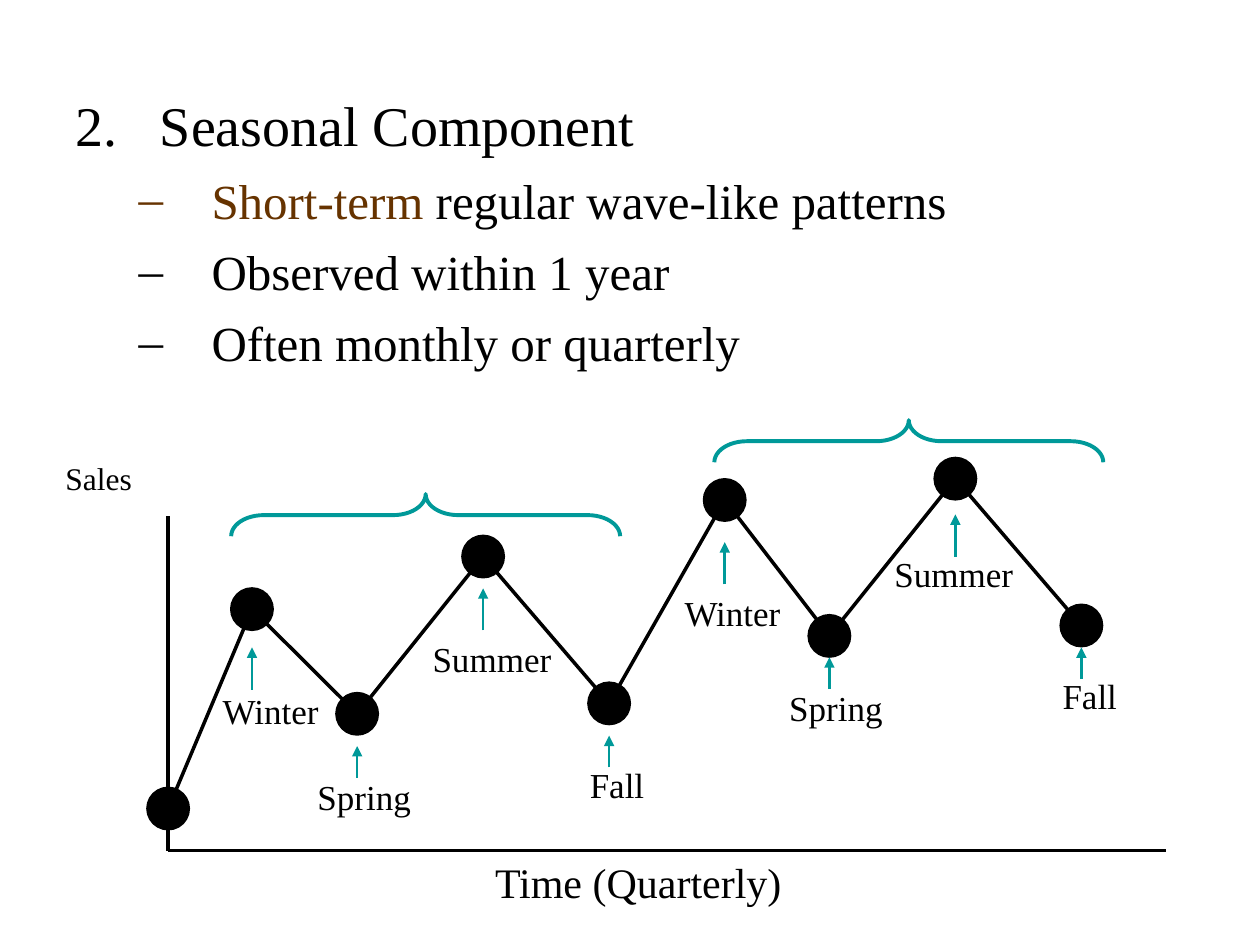
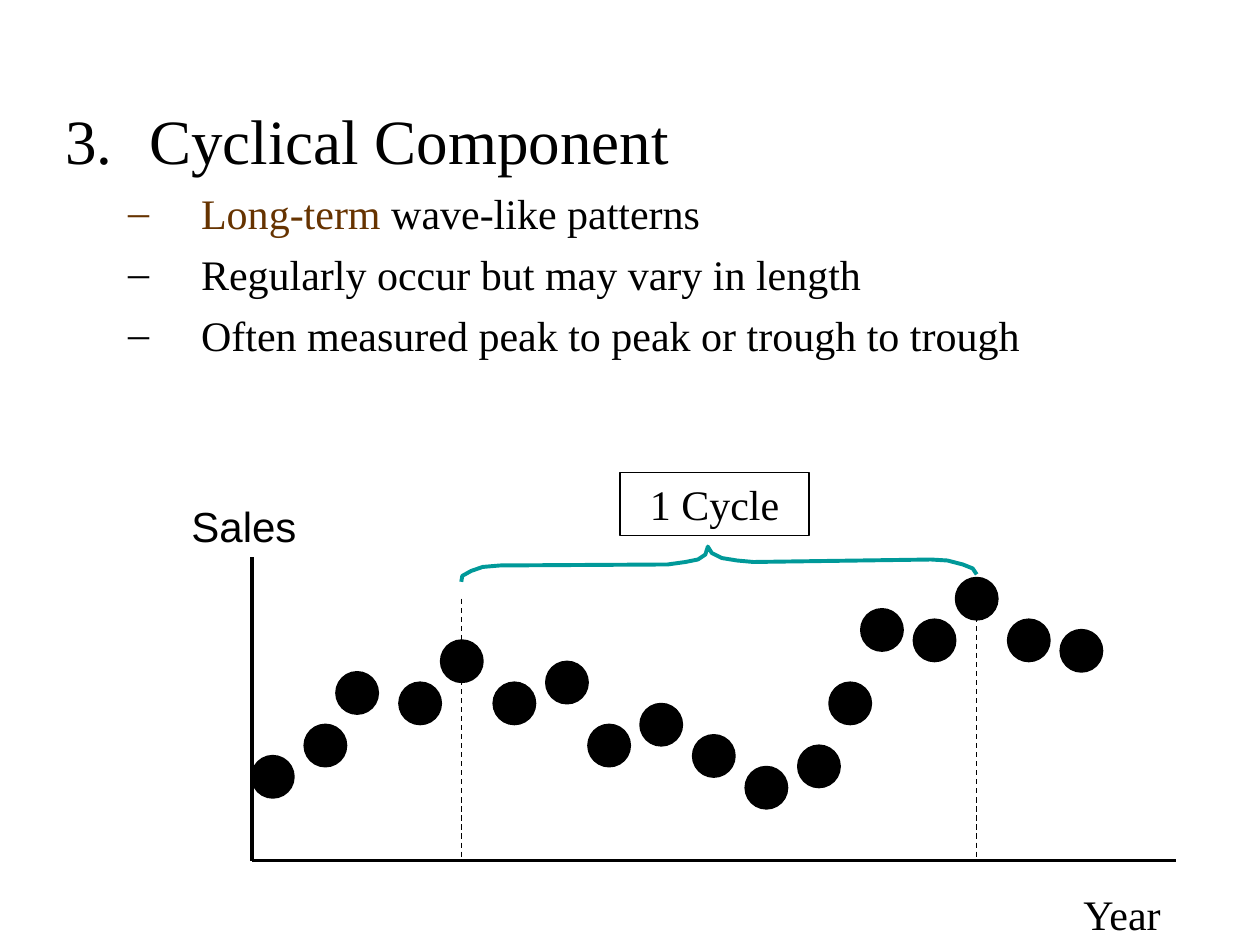
from dataclasses import dataclass

from lxml import etree
from pptx import Presentation
from pptx.dml.color import RGBColor
from pptx.enum.dml import MSO_LINE
from pptx.enum.shapes import MSO_CONNECTOR, MSO_SHAPE
from pptx.enum.text import MSO_ANCHOR, MSO_AUTO_SIZE, PP_ALIGN
from pptx.oxml.ns import qn
from pptx.util import Cm, Pt

STRAIGHT = MSO_CONNECTOR.STRAIGHT
OVAL = MSO_SHAPE.OVAL
LEFT_BRACE = MSO_SHAPE.LEFT_BRACE
DASH = MSO_LINE.DASH
TOP = MSO_ANCHOR.TOP
NO_FIT = MSO_AUTO_SIZE.NONE
GROW = MSO_AUTO_SIZE.SHAPE_TO_FIT_TEXT
LEFT = PP_ALIGN.LEFT
CENTER = PP_ALIGN.CENTER


@dataclass(frozen=True)
class Theme:
    ink: str = "000000"
    paper: str = "FFFFFF"
    accent: str = "009999"
    emphasis: str = "663300"
    serif: str = "Times New Roman"
    sans: str = "Arial"
    caption: int = 24
    season: int = 20
    axis_name: int = 18
    thick: float = 2
    brace: float = 2.25
    arrow: float = 1.5
    thin: float = 0.75
    outline: float = 1


THEME = Theme()
DOT = 0.85

SEASONAL = {
    "box": (1.27, 1.7, 22.86, 15.32),
    "number": 2,
    "heading": "Seasonal Component",
    "sizes": (32, 28),
    "spacing": (8, 7),
    "points": [
        ("Short-term", " regular wave-like patterns"),
        ("", "Observed within 1 year"),
        ("", "Often monthly or quarterly"),
    ],
}
SEASONAL_AXES = {"origin": (3.39, 17.15), "top": 10.41, "right": 23.5}
SALES_START = (3.39, 16.3)
LABEL_WIDTHS = {"Winter": 2.46, "Spring": 2.39, "Summer": 2.9, "Fall": 1.6}
ARROW_LENGTHS = {"Winter": 0.85, "Spring": 0.64, "Summer": 0.85, "Fall": 0.64}
QUARTERS = [
    # season, sales point, arrow tip, label corner
]
QUARTERS = [
    ("Winter", (5.08, 12.28), 13.05, (4.24, 13.77)),
    ("Spring", (7.2, 14.39), 15.04, (6.15, 15.5)),
    ("Summer", (9.74, 11.22), 11.86, (8.47, 12.73)),
    ("Fall", (12.28, 14.18), 14.83, (11.64, 15.27)),
    ("Winter", (14.61, 10.08), 10.93, (13.55, 11.79)),
    ("Spring", (16.72, 12.82), 13.25, (15.66, 13.71)),
    ("Summer", (19.26, 9.65), 10.37, (17.78, 11.02)),
    ("Fall", (21.8, 12.61), 13.05, (21.17, 13.48)),
]
YEAR_BRACES = [(4.66, 9.96), (14.4, 8.47)]
BRACE_SPAN, BRACE_DEPTH = 7.84, 0.85

CYCLICAL = {
    "box": (1.06, 1.91, 22.86, 16.51),
    "number": 3,
    "heading": "Cyclical Component",
    "sizes": (36, 24),
    "spacing": (9, 6),
    "points": [
        ("Long-term", " wave-like patterns"),
        ("", "Regularly occur but may vary in length"),
        ("", "Often measured peak to peak or trough to trough"),
    ],
}
CYCLICAL_AXES = {"origin": (5.08, 17.35), "top": 11.23, "right": 23.7}
YEARLY_SALES = [
    (5.5, 15.66), (6.56, 15.03), (7.2, 13.97), (8.47, 14.18), (9.31, 13.33),
    (10.37, 14.18), (11.43, 13.76), (12.28, 15.03), (13.33, 14.61),
    (14.39, 15.24), (15.45, 15.88), (16.51, 15.45), (17.14, 14.18),
    (17.78, 12.7), (18.84, 12.91), (19.69, 12.07), (20.74, 12.91),
    (21.8, 13.12),
]
PEAKS = (YEARLY_SALES[4], YEARLY_SALES[15])
PEAK_LINE_TOP = 12.07
CYCLE_BRACE = [
    (19.69, 11.58), (19.61, 11.46), (19.41, 11.38), (19.1, 11.3),
    (18.77, 11.28), (15.19, 11.33), (14.86, 11.3), (14.55, 11.25),
    (14.35, 11.15), (14.27, 11.02), (14.22, 11.18), (14.07, 11.28),
    (13.82, 11.33), (13.46, 11.38), (10.08, 11.4), (9.73, 11.43),
    (9.5, 11.51), (9.32, 11.61), (9.3, 11.73),
]


def rgb(color):
    return RGBColor.from_string(color)


def set_line(line, color, width):
    line.color.rgb = rgb(color)
    line.width = Pt(width)


def set_fill(shape, color):
    shape.fill.solid()
    shape.fill.fore_color.rgb = rgb(color)


def set_font(font, size, color=THEME.ink, face=THEME.serif):
    font.size = Pt(size)
    font.name = face
    font.color.rgb = rgb(color)


def add_line(slide, start, end, color=THEME.ink, width=THEME.thick):
    connector = slide.shapes.add_connector(
        STRAIGHT, *(Cm(value) for value in (*start, *end)))
    set_line(connector.line, color, width)
    etree.SubElement(connector._element.spPr, qn("a:effectLst"))
    return connector


def add_arrow(slide, start, end):
    arrow = add_line(slide, start, end, THEME.accent, THEME.arrow)
    etree.SubElement(arrow.line._get_or_add_ln(), qn("a:tailEnd"), type="triangle")


def add_axes(slide, origin, top, right):
    add_line(slide, (origin[0], top), origin)
    add_line(slide, origin, (right, origin[1]))


def add_dots(slide, centers):
    for x, y in centers:
        dot = slide.shapes.add_shape(
            OVAL, Cm(x - DOT / 2), Cm(y - DOT / 2), Cm(DOT), Cm(DOT))
        dot.shadow.inherit = False
        set_fill(dot, THEME.ink)
        set_line(dot.line, THEME.ink, THEME.outline)


def add_label(slide, text, box, size=THEME.caption, face=THEME.serif,
              wrap=True, align=LEFT):
    label = slide.shapes.add_textbox(*(Cm(value) for value in box))
    frame = label.text_frame
    frame.word_wrap = wrap
    frame.auto_size = GROW
    paragraph = frame.paragraphs[0]
    paragraph.text = text
    paragraph.alignment = align
    set_font(paragraph.font, size, face=face)
    return label


def add_year_brace(slide, left, top):
    shift = (BRACE_SPAN - BRACE_DEPTH) / 2
    brace = slide.shapes.add_shape(
        LEFT_BRACE, Cm(left + shift), Cm(top - shift), Cm(BRACE_DEPTH), Cm(BRACE_SPAN))
    brace.rotation = 90
    brace.adjustments[0] = 0.77
    brace.shadow.inherit = False
    brace.fill.background()
    set_line(brace.line, THEME.accent, THEME.brace)


def add_cycle_brace(slide):
    start, *rest = [(Cm(x), Cm(y)) for x, y in CYCLE_BRACE]
    builder = slide.shapes.build_freeform(*start)
    builder.add_line_segments(rest, close=False)
    brace = builder.convert_to_shape()
    brace.shadow.inherit = False
    set_fill(brace, THEME.paper)
    set_line(brace.line, THEME.accent, THEME.brace)


def set_bullet(paragraph, margin, hanging, color, mark, **settings):
    properties = paragraph._p.get_or_add_pPr()
    properties.set("marL", str(Cm(margin)))
    properties.set("indent", str(-Cm(hanging)))
    bullet_color = etree.SubElement(properties, qn("a:buClr"))
    etree.SubElement(bullet_color, qn("a:srgbClr"), val=color)
    etree.SubElement(properties, qn("a:buFont"), typeface=THEME.serif)
    etree.SubElement(properties, qn(mark), **settings)


def add_outline_slide(deck, outline):
    slide = deck.slides.add_slide(deck.slide_layouts[1])
    title = slide.shapes.title._element
    title.getparent().remove(title)
    body = slide.placeholders[1]
    body.left, body.top, body.width, body.height = (
        Cm(value) for value in outline["box"])
    frame = body.text_frame
    frame.auto_size = NO_FIT
    frame.vertical_anchor = TOP

    heading = frame.paragraphs[0]
    heading.text = outline["heading"]
    set_bullet(heading, 1.7, 1.7, THEME.ink, "a:buAutoNum",
               type="arabicPeriod", startAt=str(outline["number"]))
    paragraphs = [heading]
    for emphasis, rest in outline["points"]:
        point = frame.add_paragraph()
        point.level = 1
        set_bullet(point, 2.74, 1.47, THEME.emphasis if emphasis else THEME.ink,
                   "a:buChar", char="–")
        if emphasis:
            run = point.add_run()
            run.text = emphasis
            run.font.color.rgb = rgb(THEME.emphasis)
        point.add_run().text = rest
        paragraphs.append(point)
    for paragraph in paragraphs:
        paragraph.space_before = Pt(outline["spacing"][paragraph.level])
        set_font(paragraph.font, outline["sizes"][paragraph.level])
    return slide


def build_seasonal(deck):
    slide = add_outline_slide(deck, SEASONAL)
    add_axes(slide, **SEASONAL_AXES)
    add_label(slide, "Time (Quarterly)", (9.73, 17.15, 12.47, 1.27))
    add_label(slide, "Sales", (1.07, 9.12, 1.85, 1.02), THEME.axis_name, wrap=False)
    sales = [SALES_START] + [point for _, point, _, _ in QUARTERS]
    for start, end in zip(sales, sales[1:]):
        add_line(slide, start, end)
    add_dots(slide, sales)
    for season, (x, _), tip, corner in QUARTERS:
        add_arrow(slide, (x, tip + ARROW_LENGTHS[season]), (x, tip))
        add_label(slide, season, (*corner, LABEL_WIDTHS[season], 1.11),
                  THEME.season, wrap=False)
    for left, top in YEAR_BRACES:
        add_year_brace(slide, left, top)


def build_cyclical(deck):
    slide = add_outline_slide(deck, CYCLICAL)
    add_axes(slide, **CYCLICAL_AXES)
    add_label(slide, "Sales", (3.61, 9.96, 2.97, 1.27), face=THEME.sans)
    add_label(slide, "Year", (21.59, 17.78, 2.97, 1.27))
    add_cycle_brace(slide)
    cycle = add_label(slide, "1 Cycle", (12.5, 9.53, 3.81, 1.27), align=CENTER)
    set_fill(cycle, THEME.paper)
    set_line(cycle.line, THEME.ink, THEME.thin)
    add_dots(slide, YEARLY_SALES)
    for x, _ in PEAKS:
        peak_line = add_line(slide, (x, PEAK_LINE_TOP),
                             (x, CYCLICAL_AXES["origin"][1]), width=THEME.thin)
        peak_line.line.dash_style = DASH


def main():
    deck = Presentation()
    deck.slide_width = Cm(25.4)
    deck.slide_height = Cm(19.05)
    build_seasonal(deck)
    build_cyclical(deck)
    deck.save("out.pptx")


if __name__ == "__main__":
    main()
